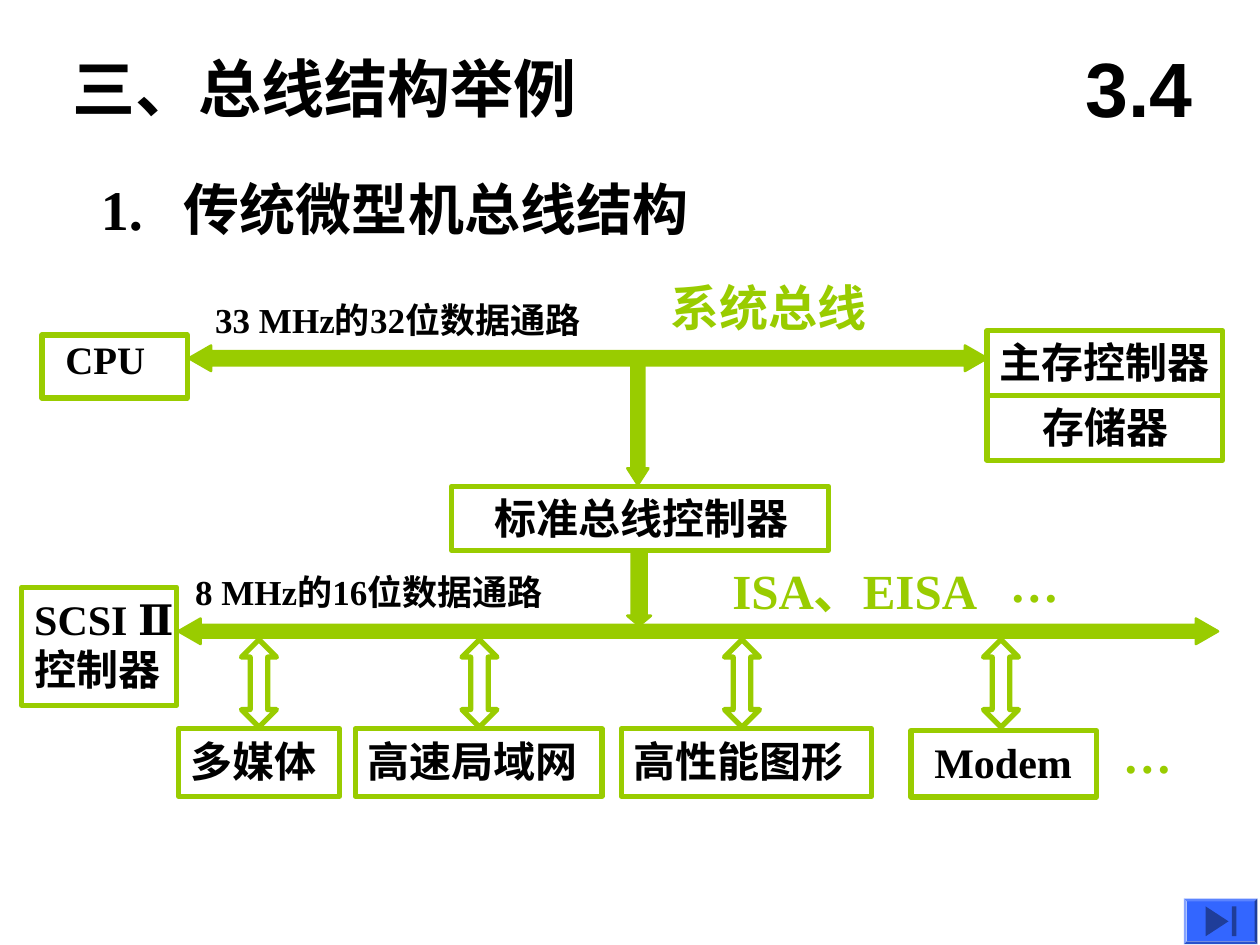
from dataclasses import dataclass

from lxml import etree
from pptx import Presentation
from pptx.dml.color import RGBColor
from pptx.enum.shapes import MSO_SHAPE
from pptx.enum.text import MSO_ANCHOR, PP_ALIGN
from pptx.oxml.ns import qn
from pptx.util import Pt

RECTANGLE = MSO_SHAPE.RECTANGLE
DOWN = MSO_SHAPE.DOWN_ARROW
LEFT_RIGHT = MSO_SHAPE.LEFT_RIGHT_ARROW
UP_DOWN = MSO_SHAPE.UP_DOWN_ARROW
BEVEL = MSO_SHAPE.BEVEL
TRIANGLE = MSO_SHAPE.ISOSCELES_TRIANGLE
TOP = MSO_ANCHOR.TOP
LEFT, CENTER = PP_ALIGN.LEFT, PP_ALIGN.CENTER


@dataclass(frozen=True)
class Theme:
    ink: RGBColor = RGBColor(0x00, 0x00, 0x00)
    bus: RGBColor = RGBColor(0x99, 0xCC, 0x00)
    button: RGBColor = RGBColor(0x33, 0x66, 0xFF)
    icon: RGBColor = RGBColor(0x1F, 0x3D, 0x99)
    serif: str = "Times New Roman"
    sans: str = "Arial"
    chinese: str = "Noto Sans CJK SC"
    number: float = 44
    title: float = 36
    heading: float = 32
    bus_name: float = 28
    unit: float = 24
    processor: float = 22.2
    note: float = 20


THEME = Theme()


@dataclass(frozen=True)
class Frame:
    left: float
    top: float
    width: float
    height: float

    def lengths(self):
        return Pt(self.left), Pt(self.top), Pt(self.width), Pt(self.height)


@dataclass(frozen=True)
class Label:
    text: str
    frame: Frame
    size: float
    color: RGBColor = THEME.ink
    font: str = THEME.serif
    align: PP_ALIGN = LEFT
    hanging: float = 0


@dataclass(frozen=True)
class Unit:
    text: str
    frame: Frame
    inset: float = 7.2
    size: float = THEME.unit
    spacing: float = 1.0


@dataclass(frozen=True)
class Arrow:
    kind: MSO_SHAPE
    frame: Frame
    shaft: float
    head: float
    line: float = 1.5
    filled: bool = True


LABELS = [
    Label("三、总线结构举例", Frame(34.5, 25, 302.5, 50.5), THEME.title),
    Label("1.\t传统微型机总线结构", Frame(50.5, 96, 350.5, 46), THEME.heading, hanging=47.5),
    Label("3.4", Frame(606, 19.5, 90, 52), THEME.number, font=THEME.sans, align=CENTER),
    Label("33 MHz的32位数据通路", Frame(123, 170.5, 237.5, 31), THEME.note),
    Label("8 MHz的16位数据通路", Frame(111.5, 326, 227.5, 31), THEME.note),
    Label("系统总线", Frame(383, 158.5, 126, 41), THEME.bus_name, THEME.bus),
    Label("ISA、EISA", Frame(418.5, 320.5, 175, 41), THEME.bus_name, THEME.bus),
    Label("…", Frame(570, 313, 42.5, 41), THEME.bus_name, THEME.bus),
    Label("…", Frame(634.5, 410.5, 42.5, 41), THEME.bus_name, THEME.bus),
]

UNITS = [
    Unit("CPU", Frame(24, 191.5, 83, 36), 13.4, THEME.processor, 0.9),
    Unit("主存控制器", Frame(564, 189, 134.5, 37)),
    Unit("存储器", Frame(564, 226, 134.5, 37), 31.5),
    Unit("标准总线控制器", Frame(258, 278, 215.5, 36.5), 24.5),
    Unit("SCSI Ⅱ\n控制器", Frame(12.5, 335.5, 88.5, 67.5)),
    Unit("多媒体", Frame(102, 416.5, 92, 38.5)),
    Unit("高速局域网", Frame(203, 416.5, 141, 38.5)),
    Unit("高性能图形", Frame(355, 416.5, 143, 38.5)),
    Unit("Modem", Frame(520.5, 417.5, 106, 38), 13.4),
]

DEVICE_CENTERS = [148, 274, 424, 572]

ARROWS = [
    Arrow(DOWN, Frame(358.5, 205, 12, 72), 0.61, 0.78),
    Arrow(DOWN, Frame(358.5, 314, 13.5, 43.5), 0.63, 0.42),
    Arrow(LEFT_RIGHT, Frame(108, 197.5, 456, 14.5), 0.55, 0.87),
    Arrow(LEFT_RIGHT, Frame(102, 353.5, 594, 14.5), 0.5, 0.87),
] + [
    Arrow(UP_DOWN, Frame(center - 10, 365.5, 20, 50), 0.5, 0.5, 3, False)
    for center in DEVICE_CENTERS
]


def write(box, text: str, size: float, color: RGBColor, font: str, align: PP_ALIGN,
          spacing: float = 1.0, hanging: float = 0) -> None:
    frame = box.text_frame
    frame.text = text
    frame.vertical_anchor = TOP
    for para in frame.paragraphs:
        para.alignment = align
        para.line_spacing = spacing
        if hanging:
            properties = para._p.get_or_add_pPr()
            properties.set("marL", str(Pt(hanging)))
            properties.set("indent", str(-Pt(hanging)))
        for span in para.runs:
            span.font.size = Pt(size)
            span.font.bold = True
            span.font.name = font
            span.font.color.rgb = color
            east_asian = etree.Element(qn("a:ea"), typeface=THEME.chinese)
            span.font._element.find(qn("a:latin")).addnext(east_asian)


def set_insets(box, left: float, top: float, right: float) -> None:
    frame = box.text_frame
    frame.margin_left, frame.margin_right = Pt(left), Pt(right)
    frame.margin_top = frame.margin_bottom = Pt(top)


def draw_label(page, label: Label) -> None:
    box = page.shapes.add_textbox(*label.frame.lengths())
    inset = 7.2 if label.size >= THEME.heading or label.text == "…" else 0
    set_insets(box, inset, inset / 2, inset)
    box.text_frame.word_wrap = False
    write(box, label.text, label.size, label.color, label.font, label.align,
          hanging=label.hanging)


def draw_shape(page, kind: MSO_SHAPE, frame: Frame, fill: RGBColor | None = None,
               line: float = 0):
    shape = page.shapes.add_shape(kind, *frame.lengths())
    shape.shadow.inherit = False
    if fill is None:
        shape.fill.background()
    else:
        shape.fill.solid()
        shape.fill.fore_color.rgb = fill
    if line:
        shape.line.color.rgb = THEME.bus
        shape.line.width = Pt(line)
    else:
        shape.line.fill.background()
    return shape


def draw_unit(page, unit: Unit) -> None:
    box = draw_shape(page, RECTANGLE, unit.frame, line=3)
    set_insets(box, unit.inset, 3.6, 0)
    box.text_frame.word_wrap = True
    write(box, unit.text, unit.size, THEME.ink, THEME.serif, LEFT, unit.spacing)


def draw_arrow(page, arrow: Arrow) -> None:
    fill = THEME.bus if arrow.filled else None
    shape = draw_shape(page, arrow.kind, arrow.frame, fill, arrow.line)
    shape.adjustments[0] = arrow.shaft
    shape.adjustments[1] = arrow.head


def draw_end_button(page) -> None:
    button = draw_shape(page, BEVEL, Frame(676.5, 513.5, 42, 26), THEME.button)
    button.adjustments[0] = 0.06
    triangle = draw_shape(page, TRIANGLE, Frame(687, 520, 17, 13), THEME.icon)
    triangle.rotation = 90
    draw_shape(page, RECTANGLE, Frame(704, 518, 2.5, 17), THEME.icon)


def main() -> None:
    deck = Presentation()
    deck.slide_width, deck.slide_height = Pt(720), Pt(540)
    page = deck.slides.add_slide(deck.slide_layouts[6])
    for arrow in ARROWS:
        draw_arrow(page, arrow)
    for unit in UNITS:
        draw_unit(page, unit)
    for label in LABELS:
        draw_label(page, label)
    draw_end_button(page)
    deck.save("out.pptx")


if __name__ == "__main__":
    main()
